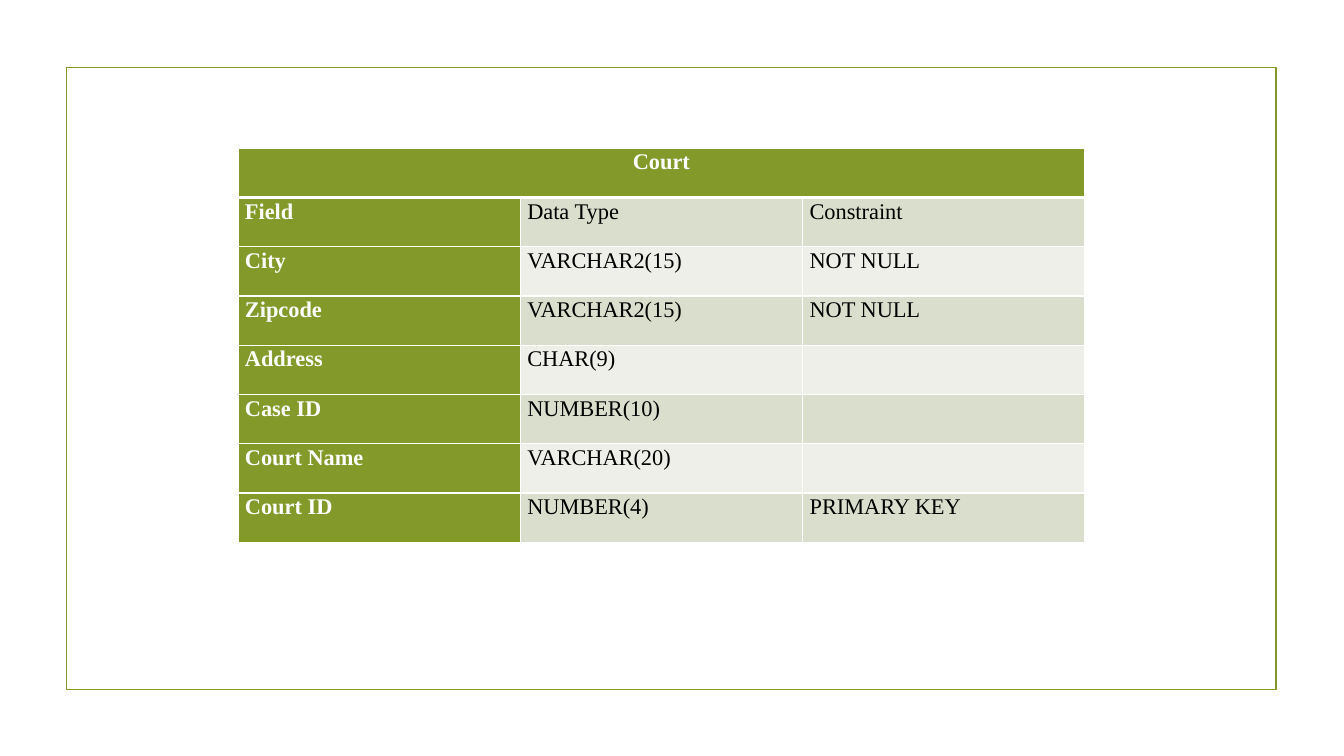
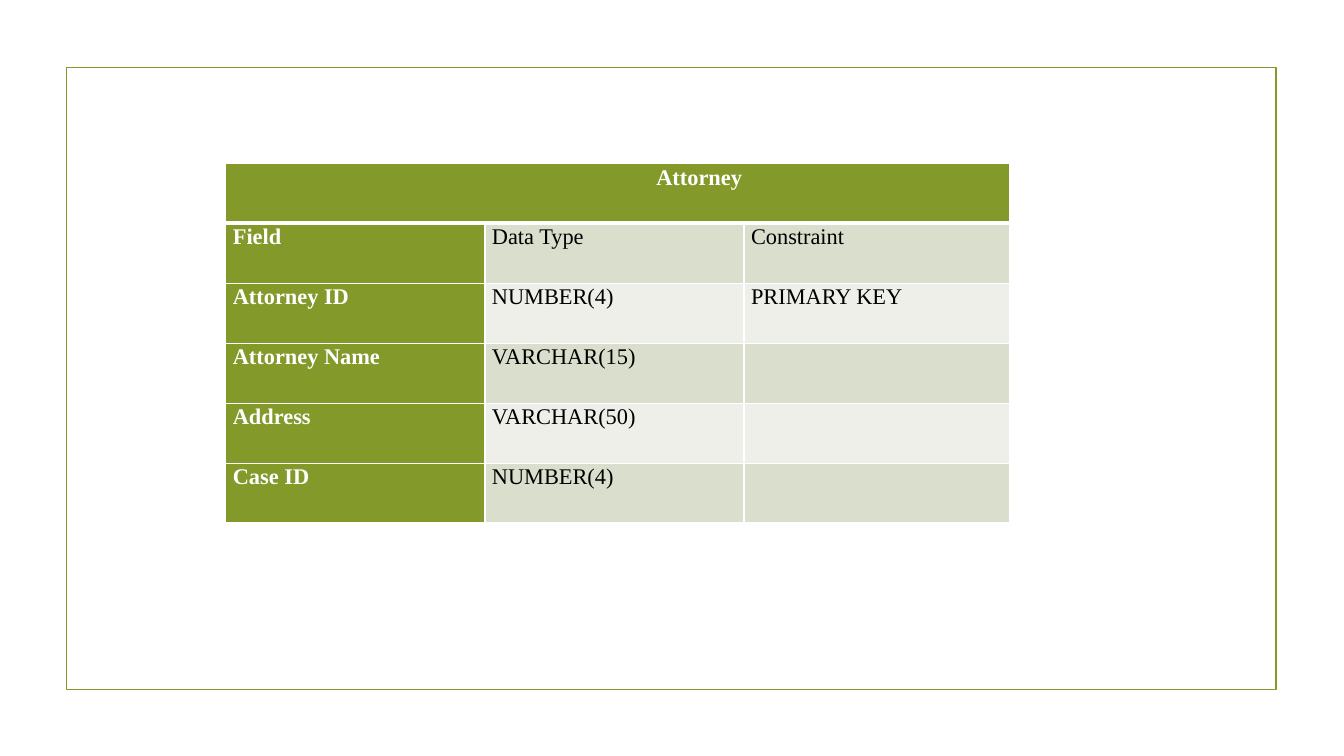
from dataclasses import dataclass

from lxml import etree
from pptx import Presentation
from pptx.dml.color import RGBColor
from pptx.enum.shapes import MSO_SHAPE
from pptx.enum.text import PP_ALIGN
from pptx.oxml.ns import qn
from pptx.util import Inches, Pt


@dataclass(frozen=True)
class Theme:
    green: str = "83992A"
    band_dark: str = "D9DECD"
    band_light: str = "EDEFE8"
    white: str = "FFFFFF"
    black: str = "000000"
    font: str = "Times New Roman"
    text_size: float = 16
    frame_line: float = 1.25
    cell_line: float = 1
    heading_line: float = 3


THEME = Theme()

HEADINGS = ("Field", "Data Type", "Constraint")
COURT_FIELDS = [
    ("City", "VARCHAR2(15)", "NOT NULL"),
    ("Zipcode", "VARCHAR2(15)", "NOT NULL"),
    ("Address", "CHAR(9)", ""),
    ("Case ID", "NUMBER(10)", ""),
    ("Court Name", "VARCHAR(20)", ""),
    ("Court ID", "NUMBER(4)", "PRIMARY KEY"),
]
ATTORNEY_FIELDS = [
    ("Attorney ID", "NUMBER(4)", "PRIMARY KEY"),
    ("Attorney Name", "VARCHAR(15)", ""),
    ("Address", "VARCHAR(50)", ""),
    ("Case ID", "NUMBER(4)", ""),
]


def rgb(color):
    return RGBColor.from_string(color)


def add_framed_slide(prs):
    """Add a blank slide with the green frame."""
    s = prs.slides.add_slide(prs.slide_layouts[6])
    sp = s.shapes.add_shape(MSO_SHAPE.RECTANGLE, Inches(0.66), Inches(0.67),
                            Inches(12), Inches(6.17))
    sp.shadow.inherit = False
    sp.fill.background()
    sp.line.color.rgb = rgb(THEME.green)
    sp.line.width = Pt(THEME.frame_line)
    return s


def set_borders(cell, top, bottom):
    """Give a cell white borders; top and bottom widths are in points."""
    tc_pr = cell._tc.get_or_add_tcPr()
    widths = {"L": THEME.cell_line, "R": THEME.cell_line, "T": top, "B": bottom}
    for side, width in widths.items():
        ln = etree.SubElement(tc_pr, qn(f"a:ln{side}"), w=str(Pt(width)))
        fill = etree.SubElement(ln, qn("a:solidFill"))
        etree.SubElement(fill, qn("a:srgbClr"), val=THEME.white)


def style_cell(cell, row, col):
    top = THEME.heading_line if row == 1 else THEME.cell_line
    bottom = THEME.heading_line if row == 0 else THEME.cell_line
    set_borders(cell, top, bottom)
    if row == 0 or col == 0:
        color = THEME.green
    else:
        color = THEME.band_dark if row % 2 else THEME.band_light
    cell.fill.solid()
    cell.fill.fore_color.rgb = rgb(color)
    cell.margin_left = cell.margin_right = Inches(0.07)
    cell.margin_top = cell.margin_bottom = 0


def write_cell(cell, text, heading):
    p = cell.text_frame.paragraphs[0]
    p.line_spacing = 1.07
    p.space_after = Pt(8)
    r = p.add_run()
    r.text = text
    r.font.name = THEME.font
    r.font.size = Pt(THEME.text_size)
    r.font.bold = heading
    r.font.color.rgb = rgb(THEME.white if heading else THEME.black)


def add_field_table(slide, title, fields, left, top, col_widths, height,
                    title_indent=None):
    """Add a titled field table; the title is centred unless indented."""
    rows = [(title, "", ""), HEADINGS, *fields]
    table = slide.shapes.add_table(
        len(rows), len(col_widths), Inches(left), Inches(top),
        Inches(sum(col_widths)), Inches(height)).table
    table.horz_banding = False
    for column, width in zip(table.columns, col_widths):
        column.width = Inches(width)

    # Cells
    for i, texts in enumerate(rows):
        table.rows[i].height = Inches(height / len(rows))
        for j, text in enumerate(texts):
            cell = table.cell(i, j)
            style_cell(cell, i, j)
            if text:
                write_cell(cell, text, heading=i == 0 or j == 0)

    # Title row
    title_cell = table.cell(0, 0)
    title_cell.merge(table.cell(0, len(col_widths) - 1))
    p = title_cell.text_frame.paragraphs[0]
    if title_indent is None:
        p.alignment = PP_ALIGN.CENTER
    else:
        p._p.get_or_add_pPr().set("marL", str(Inches(title_indent)))


def main():
    prs = Presentation()
    prs.slide_width, prs.slide_height = Inches(13.33), Inches(7.5)

    # Court
    s = add_framed_slide(prs)
    add_field_table(s, "Court", COURT_FIELDS, 2.36, 1.47, (2.8, 2.8, 2.8), 3.91)

    # Attorney
    s = add_framed_slide(prs)
    add_field_table(s, "Attorney", ATTORNEY_FIELDS, 2.24, 1.62,
                    (2.57, 2.57, 2.63), 3.57, title_indent=4.2)

    prs.save("out.pptx")


if __name__ == "__main__":
    main()
